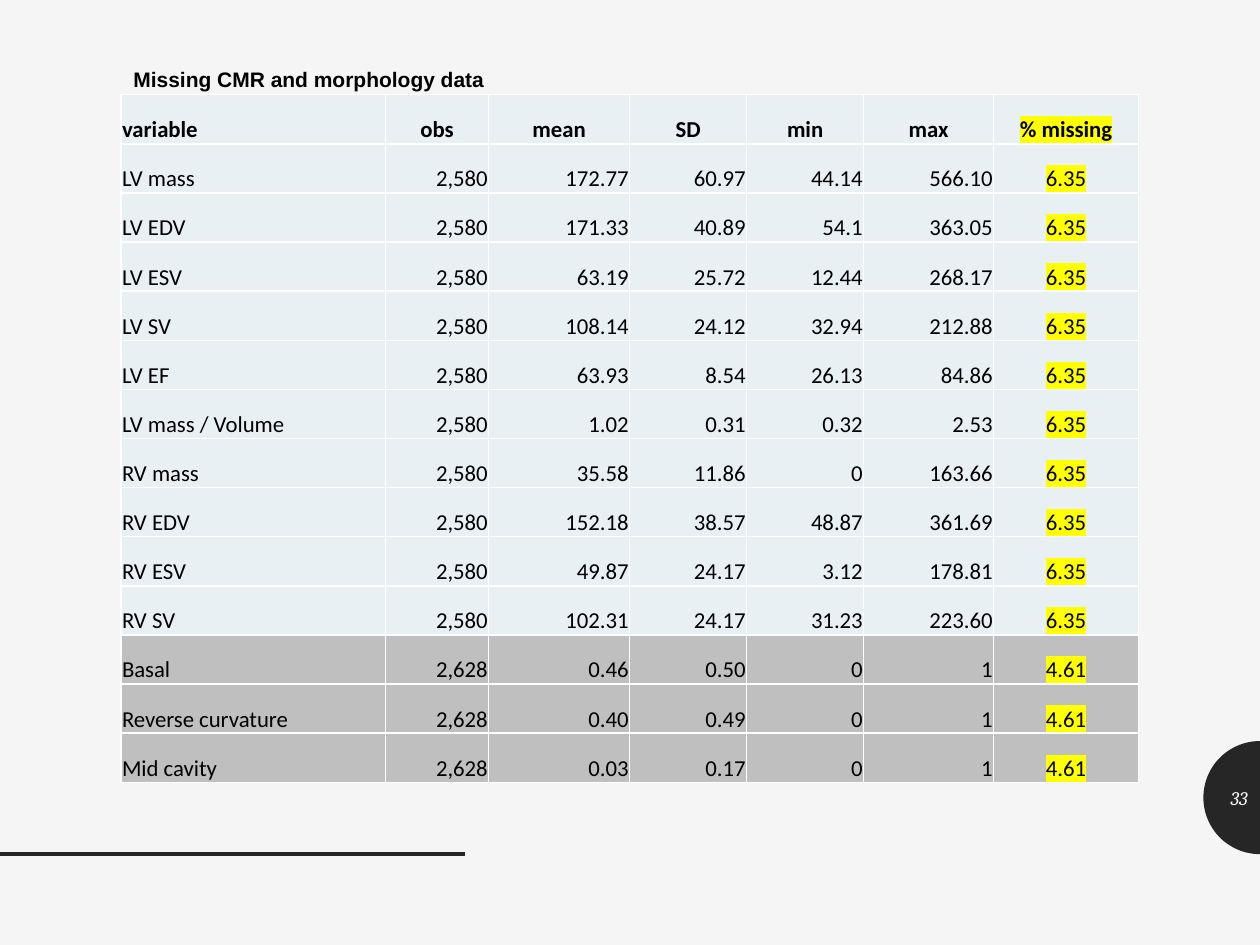
import math
from dataclasses import dataclass

from lxml import etree
from pptx import Presentation
from pptx.dml.color import RGBColor
from pptx.enum import shapes, text
from pptx.oxml.ns import qn
from pptx.util import Cm, Pt


@dataclass(frozen=True)
class Theme:
    back: str = "F5F5F5"
    dark: str = "262626"
    ink: str = "000000"
    pale: str = "E9F0F3"
    grey: str = "BFBFBF"
    rule: str = "FFFFFF"
    mark: str = "FFFF00"
    head: int = 12
    body: int = 13
    page: int = 11


LEFT, MID, RIGHT = text.PP_ALIGN.LEFT, text.PP_ALIGN.CENTER, text.PP_ALIGN.RIGHT
WIDTHS = [5.33, 2.08, 2.84, 2.36, 2.36, 2.62, 2.92]
HEADS = ["variable", "obs", "mean", "SD", "min", "max", "% missing"]
CMR = [
    ("LV mass", "172.77", "60.97", "44.14", "566.10"),
    ("LV EDV", "171.33", "40.89", "54.1", "363.05"),
    ("LV ESV", "63.19", "25.72", "12.44", "268.17"),
    ("LV SV", "108.14", "24.12", "32.94", "212.88"),
    ("LV EF", "63.93", "8.54", "26.13", "84.86"),
    ("LV mass / Volume", "1.02", "0.31", "0.32", "2.53"),
    ("RV mass", "35.58", "11.86", "0", "163.66"),
    ("RV EDV", "152.18", "38.57", "48.87", "361.69"),
    ("RV ESV", "49.87", "24.17", "3.12", "178.81"),
    ("RV SV", "102.31", "24.17", "31.23", "223.60"),
]
SHAPE = [
    ("Basal", "0.46", "0.50", "0", "1"),
    ("Reverse curvature", "0.40", "0.49", "0", "1"),
    ("Mid cavity", "0.03", "0.17", "0", "1"),
]


def color(code):
    return RGBColor.from_string(code)


def widen(rows, obs, lost):
    """Add the group's count and missing share to each row."""
    return [[name, obs, *stats, lost] for name, *stats in rows]


class Deck:
    def __init__(self, theme):
        self.theme = theme
        self.prs = Presentation()
        self.prs.slide_width, self.prs.slide_height = Cm(25.4), Cm(19.05)
        self.slide = self.prs.slides.add_slide(self.prs.slide_layouts[6])
        fill = self.slide.background.fill
        fill.solid()
        fill.fore_color.rgb = color(theme.back)

    def style(self, frame, face, size, ink, align=LEFT, bold=False, slant=False):
        para = frame.paragraphs[0]
        para.alignment = align
        font = para.runs[0].font
        font.name, font.size = face, Pt(size)
        font.bold, font.italic = bold, slant
        font.color.rgb = color(ink)
        return para.runs[0]

    def label(self, words, x, y, w, h, **look):
        frame = self.slide.shapes.add_textbox(Cm(x), Cm(y), Cm(w), Cm(h)).text_frame
        frame.word_wrap = True
        frame.vertical_anchor = text.MSO_ANCHOR.MIDDLE
        frame.text = words
        self.style(frame, **look)

    def line(self, x, y, end):
        kind = shapes.MSO_CONNECTOR.STRAIGHT
        rule = self.slide.shapes.add_connector(kind, Cm(x), Cm(y), Cm(end), Cm(y))
        rule.line.color.rgb = color(self.theme.dark)
        rule.line.width = Pt(2)
        etree.SubElement(rule._element.spPr, qn("a:effectLst"))

    def dome(self, x, y, r, steps=50):
        """Left half of a disc centred on x, y."""
        turns = [math.pi * (0.5 + i / steps) for i in range(steps + 1)]
        dots = [(Cm(x + r * math.cos(a)), Cm(y + r * math.sin(a))) for a in turns]
        form = self.slide.shapes.build_freeform(*dots[0])
        form.add_line_segments(dots[1:], close=True)
        half = form.convert_to_shape()
        half.shadow.inherit = False
        half.fill.solid()
        half.fill.fore_color.rgb = color(self.theme.dark)
        half.line.fill.background()

    def edge(self, cell):
        """Draw a thin rule on all four sides of a cell."""
        props = cell._tc.get_or_add_tcPr()
        for i, side in enumerate(("lnL", "lnR", "lnT", "lnB")):
            rule = etree.Element(qn(f"a:{side}"), w=str(Pt(1)))
            fill = etree.SubElement(rule, qn("a:solidFill"))
            etree.SubElement(fill, qn("a:srgbClr"), val=self.theme.rule)
            props.insert(i, rule)

    def glow(self, run):
        """Highlight a run."""
        mark = etree.Element(qn("a:highlight"))
        etree.SubElement(mark, qn("a:srgbClr"), val=self.theme.mark)
        run._r.rPr.find(qn("a:solidFill")).addnext(mark)

    def cell(self, cell, words, fill, align, bold, lit):
        cell.fill.solid()
        cell.fill.fore_color.rgb = color(fill)
        cell.margin_left = cell.margin_right = cell.margin_top = Cm(0.02)
        cell.margin_bottom = 0
        cell.vertical_anchor = text.MSO_ANCHOR.BOTTOM
        cell.text_frame.text = words
        run = self.style(cell.text_frame, "Calibri", self.theme.body,
                         self.theme.ink, align, bold)
        if lit:
            self.glow(run)
        self.edge(cell)

    def table(self, rows, widths, x, y, step, grey):
        """Fill a table whose rows from index grey on are grey."""
        grid = self.slide.shapes.add_table(
            len(rows), len(widths), Cm(x), Cm(y),
            Cm(sum(widths)), Cm(step * len(rows))).table
        for col, width in zip(grid.columns, widths):
            col.width = Cm(width)
        last = len(widths) - 1
        for r, row in enumerate(rows):
            grid.rows[r].height = Cm(step)
            fill = self.theme.grey if r >= grey else self.theme.pale
            for c, words in enumerate(row):
                align = LEFT if c == 0 else MID if r == 0 or c == last else RIGHT
                self.cell(grid.cell(r, c), words, fill, align, r == 0, c == last)


def main():
    theme = Theme()
    deck = Deck(theme)
    deck.dome(25.4, 16.08, 1.14)
    deck.line(0, 17.22, 9.37)
    deck.label("Missing CMR and morphology data", 2.44, 1.22, 8.76, 0.76,
               face="Arial", size=theme.head, ink=theme.ink, bold=True)
    rows = [HEADS, *widen(CMR, "2,580", "6.35"), *widen(SHAPE, "2,628", "4.61")]
    deck.table(rows, WIDTHS, 2.44, 1.91, 0.99, grey=1 + len(CMR))
    deck.label("33", 24.26, 15.57, 1.14, 1.02, face="Cambria", size=theme.page,
               ink=theme.back, align=RIGHT, slant=True)
    deck.prs.save("out.pptx")


if __name__ == "__main__":
    main()
